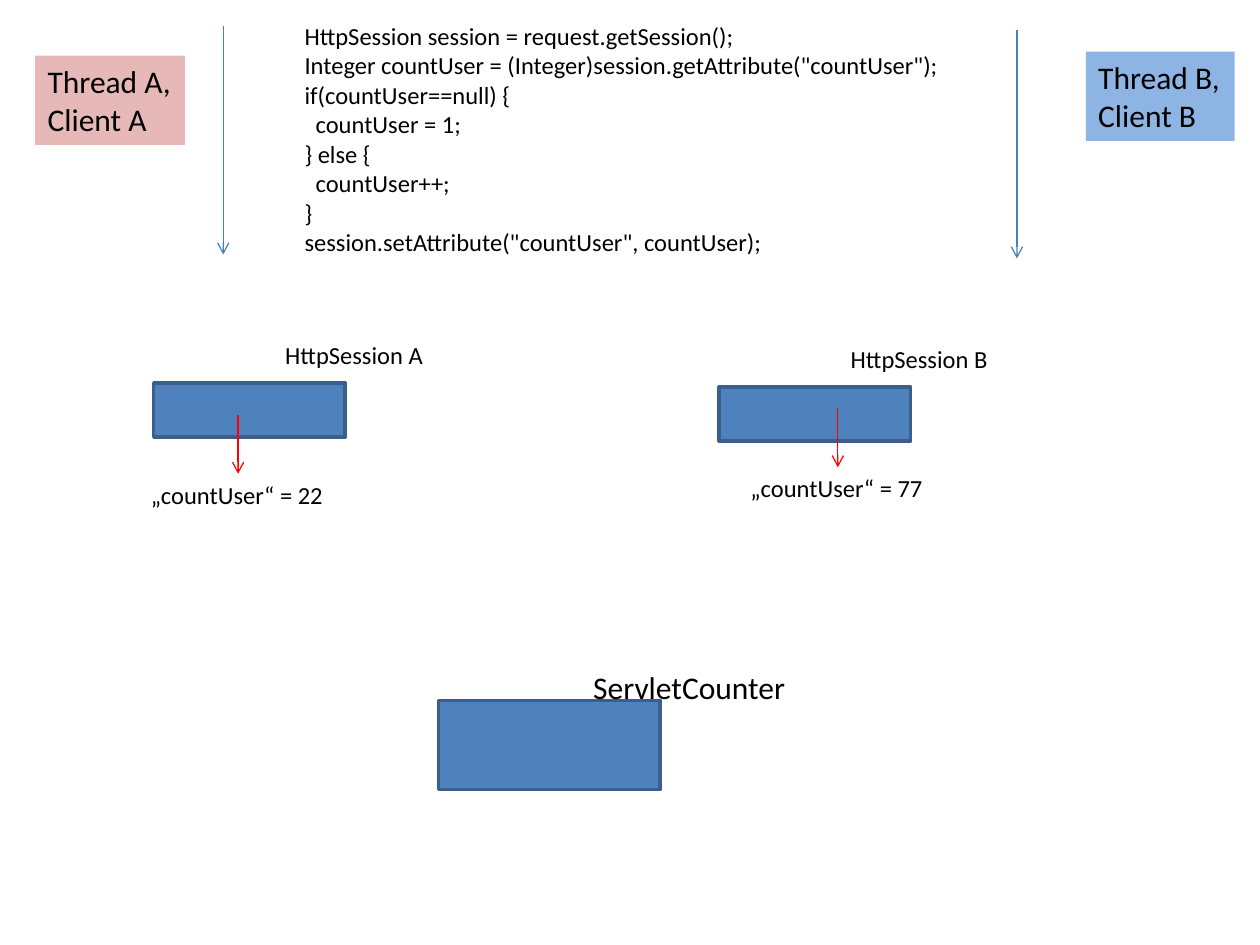
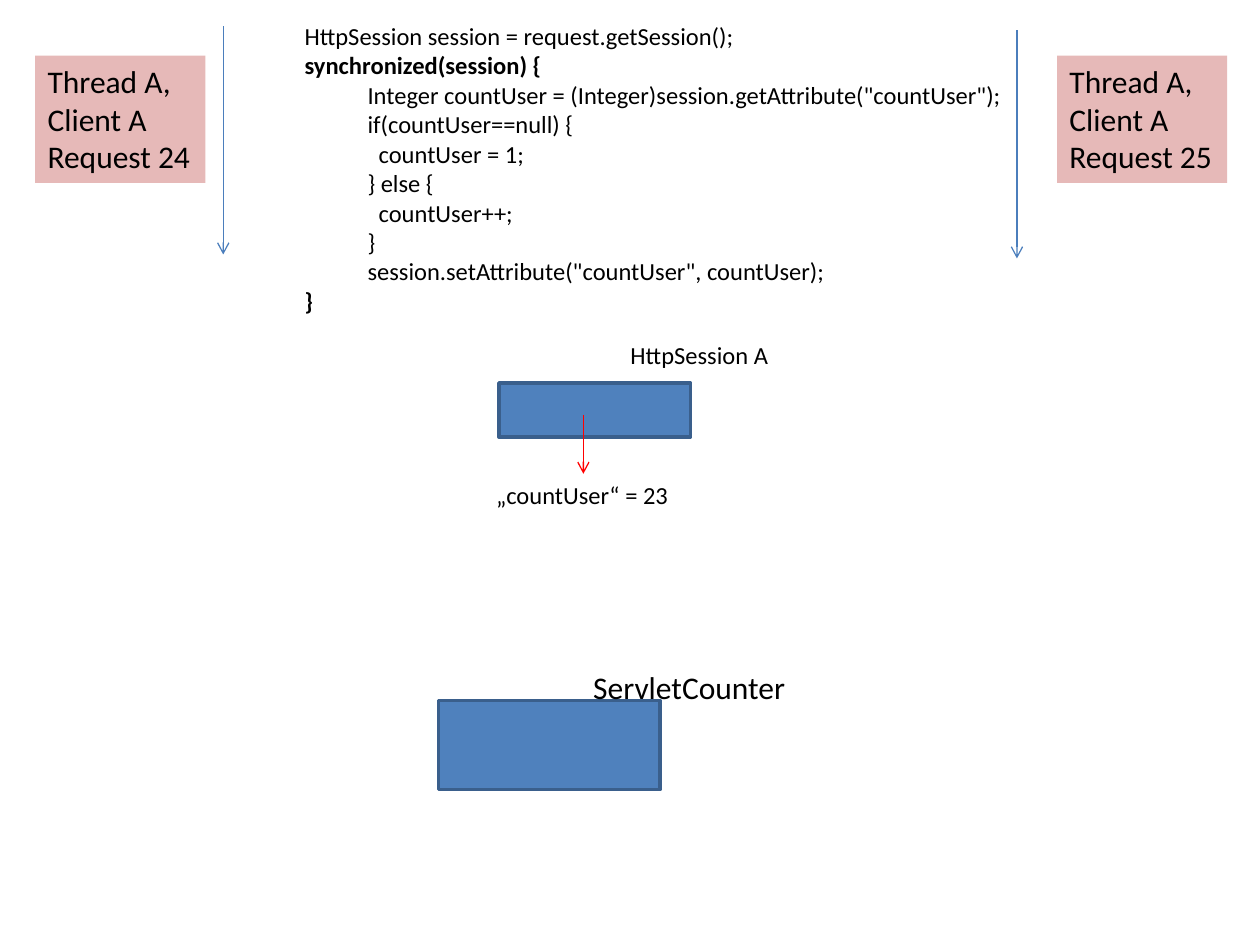
from pptx import Presentation
from pptx.dml.color import RGBColor
from pptx.enum.shapes import MSO_CONNECTOR, MSO_SHAPE
from pptx.enum.text import MSO_AUTO_SIZE
from pptx.oxml.ns import qn
from pptx.util import Cm, Pt
from lxml import etree

STRAIGHT = MSO_CONNECTOR.STRAIGHT
RECTANGLE = MSO_SHAPE.RECTANGLE
GROW = MSO_AUTO_SIZE.SHAPE_TO_FIT_TEXT

FONT = "Calibri"
BLACK = "000000"
PINK = "E6B9B8"
SKY = "8EB4E3"
BLUE = "4F81BD"
BLUE_EDGE = "3A5F8C"
THREAD_LINE = "4B7EBC"
RED = "FF0000"
SMALL, LARGE = 14, 18
INDENT = 1.27

GET_SESSION = "HttpSession session = request.getSession();"
COUNT_USER = [
    'Integer countUser = (Integer)session.getAttribute("countUser");',
    "if(countUser==null) {",
    "  countUser = 1;",
    "} else {",
    "  countUser++;",
    "}",
    'session.setAttribute("countUser", countUser);',
]


def color(value):
    return RGBColor.from_string(value)


def add_text(page, lines, left, top, width, height, size=SMALL, fill=None,
             bold=(), indented=()):
    box = page.shapes.add_textbox(Cm(left), Cm(top), Cm(width), Cm(height))
    if fill:
        box.fill.solid()
        box.fill.fore_color.rgb = color(fill)
    frame = box.text_frame
    frame.word_wrap = False
    frame.auto_size = GROW
    for index, line in enumerate(lines):
        para = frame.add_paragraph() if index else frame.paragraphs[0]
        if index in indented:
            para.level = 1
            para._p.get_or_add_pPr().set("marL", str(Cm(INDENT)))
        span = para.add_run()
        span.text = line
        span.font.name = FONT
        span.font.size = Pt(size)
        span.font.bold = index in bold
        span.font.color.rgb = color(BLACK)


def add_block(page, left, top, width, height):
    block = page.shapes.add_shape(RECTANGLE, Cm(left), Cm(top), Cm(width), Cm(height))
    block.shadow.inherit = False
    block.fill.solid()
    block.fill.fore_color.rgb = color(BLUE)
    block.line.color.rgb = color(BLUE_EDGE)
    block.line.width = Pt(2)


def add_down_arrow(page, left, top, length, line_color):
    arrow = page.shapes.add_connector(
        STRAIGHT, Cm(left), Cm(top), Cm(left), Cm(top + length))
    arrow.line.color.rgb = color(line_color)
    arrow.line.width = Pt(0.75)
    etree.SubElement(arrow.line._get_or_add_ln(), qn("a:tailEnd"), type="arrow")
    etree.SubElement(arrow._element.spPr, qn("a:effectLst"))


def add_thread_arrows(page):
    for left, top in ((4.5, 0.53), (20.5, 0.61)):
        add_down_arrow(page, left, top, 4.6, THREAD_LINE)


def add_thread(page, lines, left, top, width, fill):
    height = 0.26 + 0.77 * len(lines)
    add_text(page, lines, left, top, width, height, size=LARGE, fill=fill)


def add_code(page, lines, width, **marks):
    add_text(page, lines, 5.89, 0.3, width, 0.3 + 0.595 * len(lines), **marks)


def add_session(page, name, count, left, top, value_left, value_top):
    add_block(page, left, top, 3.86, 1.09)
    add_text(page, [f"HttpSession {name}"], left + 2.4, top - 0.99, 3.32, 0.86)
    add_text(page, [f"„countUser“ = {count}"],
             left + value_left, top + value_top, 4.01, 0.86)
    add_down_arrow(page, left + value_left + 2.01, top + value_top - 1.19, 1.19, RED)


def add_servlet(page, left, top):
    add_block(page, left, top, 4.47, 1.8)
    add_text(page, ["ServletCounter"], left + 2.87, top - 0.78, 4.42, 1.02, size=LARGE)


def add_page(deck):
    page = deck.slides.add_slide(deck.slide_layouts[6])
    add_thread_arrows(page)
    add_servlet(page, 8.84, 14.12)
    return page


def build_two_clients(deck):
    page = add_page(deck)
    add_code(page, [GET_SESSION, *COUNT_USER], 13.44)
    add_thread(page, ["Thread A,", "Client A"], 0.71, 1.12, 3.02, PINK)
    add_thread(page, ["Thread B,", "Client B"], 21.89, 1.04, 3, SKY)
    add_session(page, "A", 22, 3.1, 7.72, -0.31, 1.83)
    add_session(page, "B", 77, 14.5, 7.8, 0.38, 1.62)


def build_two_requests(deck):
    page = add_page(deck)
    lines = [GET_SESSION, "synchronized(session) {", *COUNT_USER, "}"]
    last = len(lines) - 1
    add_code(page, lines, 14.71, bold=(1, last), indented=range(2, last))
    for left, request in ((0.71, 24), (21.31, 25)):
        add_thread(page, ["Thread A,", "Client A", f"Request {request}"],
                   left, 1.12, 3.43, PINK)
    add_session(page, "A", 23, 10.06, 7.72, -0.31, 1.83)


deck = Presentation()
deck.slide_width, deck.slide_height = Cm(25.4), Cm(19.05)
build_two_clients(deck)
build_two_requests(deck)
deck.save("out.pptx")
